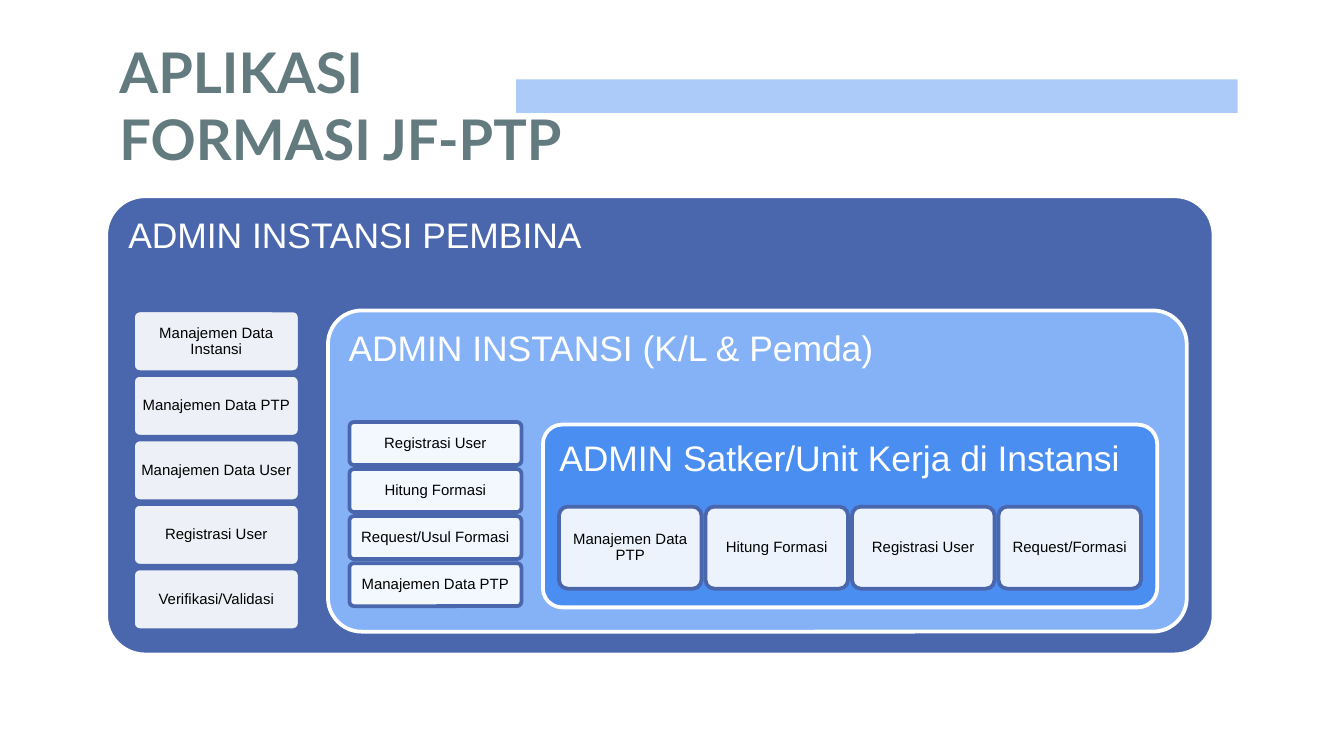
from dataclasses import dataclass

from lxml import etree
from pptx import Presentation
from pptx.dml.color import RGBColor
from pptx.enum.shapes import MSO_SHAPE
from pptx.enum.text import MSO_ANCHOR, PP_ALIGN
from pptx.oxml.ns import qn
from pptx.util import Inches, Pt

RECT = MSO_SHAPE.RECTANGLE
ROUND = MSO_SHAPE.ROUNDED_RECTANGLE
TOP, MIDDLE = MSO_ANCHOR.TOP, MSO_ANCHOR.MIDDLE
LEFT, CENTER = PP_ALIGN.LEFT, PP_ALIGN.CENTER

WHITE = RGBColor(0xFF, 0xFF, 0xFF)
BLACK = RGBColor(0x00, 0x00, 0x00)
SLATE = RGBColor(0x63, 0x7B, 0x7F)
PALE = RGBColor(0xAC, 0xCB, 0xF9)
NAVY = RGBColor(0x4A, 0x66, 0xAC)
SKY = RGBColor(0x85, 0xB2, 0xF6)
BLUE = RGBColor(0x4A, 0x8E, 0xF2)


@dataclass
class Box:
    left: float
    top: float
    width: float
    height: float


@dataclass
class Panel:
    """A titled role panel; its task cards start at card and repeat by step."""
    title: str
    box: Box
    round: float
    fill: RGBColor
    card: Box
    step: tuple[float, float]
    tasks: list[str]


PANELS = [
    Panel("ADMIN INSTANSI PEMBINA", Box(0.79, 1.46, 8.24, 3.41), 0.085, NAVY,
          Box(0.99, 2.31, 1.24, 0.46), (0, 0.48),
          ["Manajemen Data Instansi", "Manajemen Data PTP",
           "Manajemen Data User", "Registrasi User", "Verifikasi/Validasi"]),
    Panel("ADMIN INSTANSI (K/L & Pemda)", Box(2.44, 2.31, 6.39, 2.39), 0.105, SKY,
          Box(2.6, 3.14, 1.28, 0.32), (0, 0.35),
          ["Registrasi User", "Hitung Formasi", "Request/Usul Formasi",
           "Manajemen Data PTP"]),
    Panel("ADMIN Satker/Unit Kerja di Instansi", Box(4.04, 3.16, 4.57, 1.36), 0.105, BLUE,
          Box(4.16, 3.77, 1.06, 0.61), (1.09, 0),
          ["Manajemen Data PTP", "Hitung Formasi", "Registrasi User",
           "Request/Formasi"]),
]


def place(box: Box) -> tuple:
    return (Inches(box.left), Inches(box.top), Inches(box.width), Inches(box.height))


def write(shape, text: str, font: str, size: float, color: RGBColor,
          pad: float, align=LEFT, anchor=TOP):
    frame = shape.text_frame
    frame.word_wrap = True
    frame.vertical_anchor = anchor
    frame.margin_left = frame.margin_right = Inches(pad)
    frame.margin_top = frame.margin_bottom = Inches(pad)
    frame.text = text
    para = frame.paragraphs[0]
    para.alignment = align
    para.font.name = font
    para.font.size = Pt(size)
    para.font.color.rgb = color
    return para


def add_round(slide, box: Box, curve: float, fill: RGBColor, line: RGBColor):
    shape = slide.shapes.add_shape(ROUND, *place(box))
    shape.adjustments[0] = curve
    shape.shadow.inherit = False
    shape.fill.solid()
    shape.fill.fore_color.rgb = fill
    shape.line.color.rgb = line
    shape.line.width = Pt(2)
    return shape


def add_card(slide, box: Box, text: str) -> None:
    card = add_round(slide, box, 0.105, WHITE, NAVY)
    tint = card.fill._xPr.find(qn("a:solidFill"))[0]
    etree.SubElement(tint, qn("a:alpha"), val="90000")
    para = write(card, text, "Arial", 8, BLACK, 0.03, CENTER, MIDDLE)
    para.line_spacing = 0.9


def add_panel(slide, panel: Panel) -> None:
    shape = add_round(slide, panel.box, panel.round, panel.fill, WHITE)
    para = write(shape, panel.title, "Arial", 19, WHITE, 0.08)
    para.line_spacing = 0.9
    first = panel.card
    across, down = panel.step
    for i, task in enumerate(panel.tasks):
        box = Box(first.left + i * across, first.top + i * down,
                  first.width, first.height)
        add_card(slide, box, task)


def main() -> None:
    deck = Presentation()
    deck.slide_width = Inches(10)
    deck.slide_height = Inches(10 * 9 / 16)
    slide = deck.slides.add_slide(deck.slide_layouts[6])

    bar = slide.shapes.add_shape(RECT, *place(Box(3.84, 0.59, 5.37, 0.25)))
    bar.shadow.inherit = False
    bar.fill.solid()
    bar.fill.fore_color.rgb = PALE
    bar.line.fill.background()

    title = slide.shapes.add_textbox(*place(Box(0.79, 0.18, 5.45, 1.03)))
    para = write(title, "APLIKASI \vFORMASI JF-PTP", "Lato", 30, SLATE, 0.1)
    para.font.bold = True

    for panel in PANELS:
        add_panel(slide, panel)
    deck.save("out.pptx")


if __name__ == "__main__":
    main()
